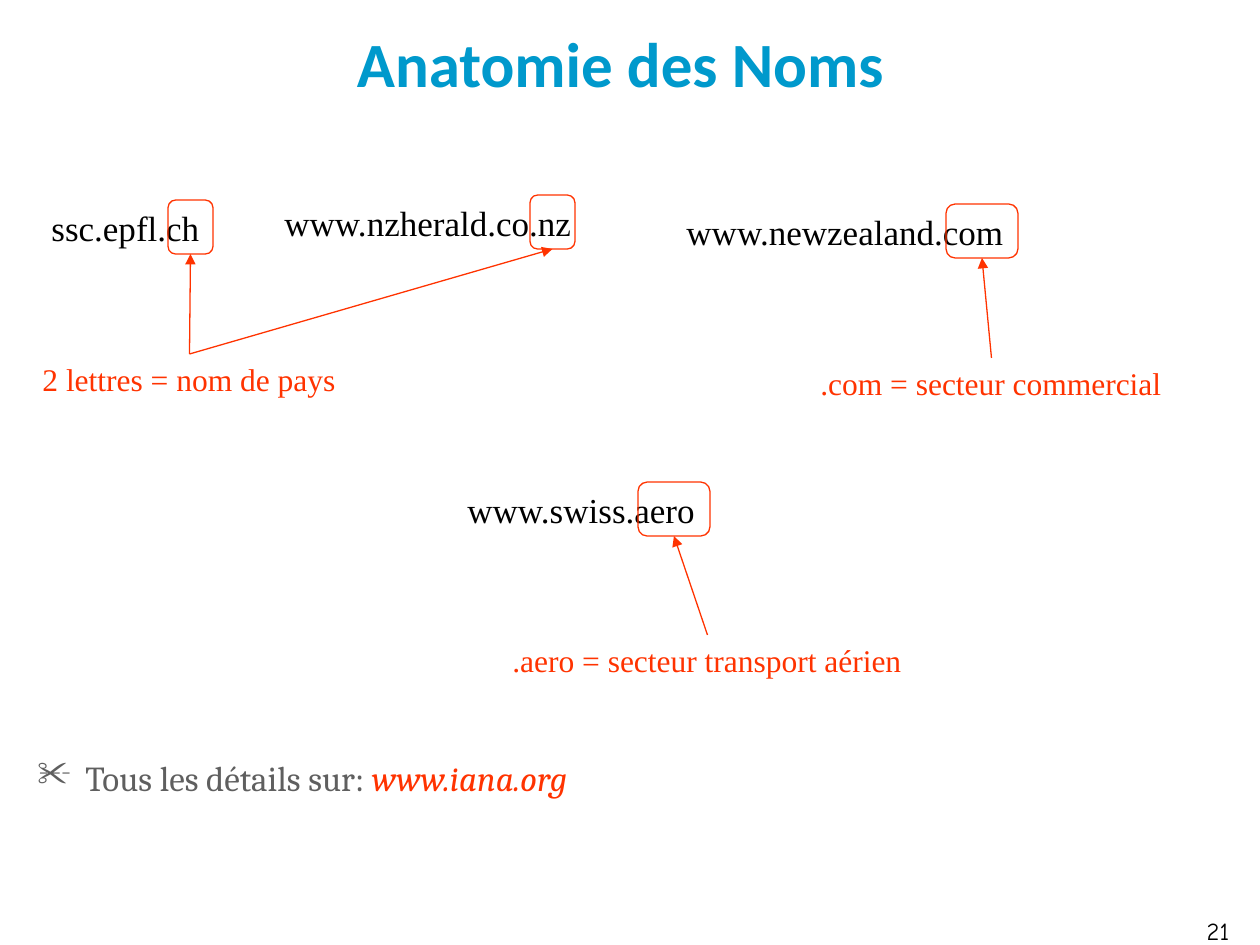
from lxml import etree
from pptx import Presentation
from pptx.dml.color import RGBColor
from pptx.enum import shapes, text
from pptx.oxml import ns
from pptx.util import Pt

PX = 914400 / 126
COLORS = {"title": "0099CC", "body": "5F5F5F", "accent": "FF3300", "black": "000000"}
SERIF = "Times New Roman"


def add_run(p, content, size=20, font=SERIF, color="black", bold=False, italic=False):
    r = p.add_run()
    r.text = content
    r.font.size = Pt(size)
    r.font.name = font
    r.font.bold = bold
    r.font.italic = italic
    r.font.color.rgb = RGBColor.from_string(COLORS[color])


def add_box(bounds, wrap=True, anchor=text.MSO_ANCHOR.TOP, align=text.PP_ALIGN.LEFT):
    sp = s.shapes.add_textbox(*(round(v * PX) for v in bounds))
    tf = sp.text_frame
    tf.word_wrap = wrap
    tf.auto_size = text.MSO_AUTO_SIZE.NONE if wrap else text.MSO_AUTO_SIZE.SHAPE_TO_FIT_TEXT
    tf.vertical_anchor = anchor
    tf.paragraphs[0].alignment = align
    return sp


prs = Presentation()
prs.slide_width = round(1260 * PX)
prs.slide_height = round(945 * PX)
s = prs.slides.add_slide(prs.slide_layouts[6])

title = add_box((15, 0, 1211, 125), anchor=text.MSO_ANCHOR.MIDDLE, align=text.PP_ALIGN.CENTER)
add_run(title.text_frame.paragraphs[0], "Anatomie des Noms", size=36, font="Calibri", color="title", bold=True)

details = add_box((25, 750, 1221, 179))
p = details.text_frame.paragraphs[0]
pPr = p._p.get_or_add_pPr()
pPr.set("marL", str(round(48 * PX)))
pPr.set("indent", str(round(-48 * PX)))
bullet_color = etree.SubElement(pPr, ns.qn("a:buClr"))
etree.SubElement(bullet_color, ns.qn("a:srgbClr")).set("val", COLORS["body"])
etree.SubElement(pPr, ns.qn("a:buChar")).set("char", "✂")
add_run(p, "Tous les détails sur: ", font="Cambria", color="body")
add_run(p, "www.iana.org", font="Cambria", color="accent", italic=True)

number = add_box((1176, 910, 84, 35), align=text.PP_ALIGN.CENTER)
add_run(number.text_frame.paragraphs[0], "21", size=14, font="Comic Neue")

groups = [
    ("2 lettres = nom de pays", (30, 354, 319, 50), [
        ("ssc.epfl.ch", (39, 200, 173, 55), 168, 45),
        ("www.nzherald.co.nz", (272, 195, 314, 55), 530, 45),
    ]),
    (".com = secteur commercial", (808, 358, 367, 50), [
        ("www.newzealand.com", (674, 204, 344, 55), 946, 72),
    ]),
    (".aero = secteur transport aérien", (500, 635, 415, 50), [
        ("www.swiss.aero", (455, 482, 254, 55), 638, 72),
    ]),
]

for meaning, bounds, names in groups:
    label = add_box(bounds, wrap=False)
    add_run(label.text_frame.paragraphs[0], meaning, size=18, color="accent")
    for name, name_bounds, frame_x, frame_w in names:
        sp = add_box(name_bounds, wrap=False)
        add_run(sp.text_frame.paragraphs[0], name)

        frame = s.shapes.add_shape(
            shapes.MSO_SHAPE.ROUNDED_RECTANGLE,
            *(round(v * PX) for v in (frame_x, name_bounds[1], frame_w, 54)))
        frame.adjustments[0] = 0.17
        frame.shadow.inherit = False
        frame.fill.background()

        arrow = s.shapes.add_connector(shapes.MSO_CONNECTOR.STRAIGHT, 0, 0, 0, 0)
        arrow.begin_connect(label, 0)
        arrow.end_connect(frame, 2)
        for outlined in (frame, arrow):
            outlined.line.color.rgb = RGBColor.from_string(COLORS["accent"])
            outlined.line.width = Pt(0.75)
        etree.SubElement(arrow.line._get_or_add_ln(), ns.qn("a:tailEnd")).set("type", "triangle")
        etree.SubElement(arrow._element.spPr, ns.qn("a:effectLst"))

prs.save("out.pptx")
